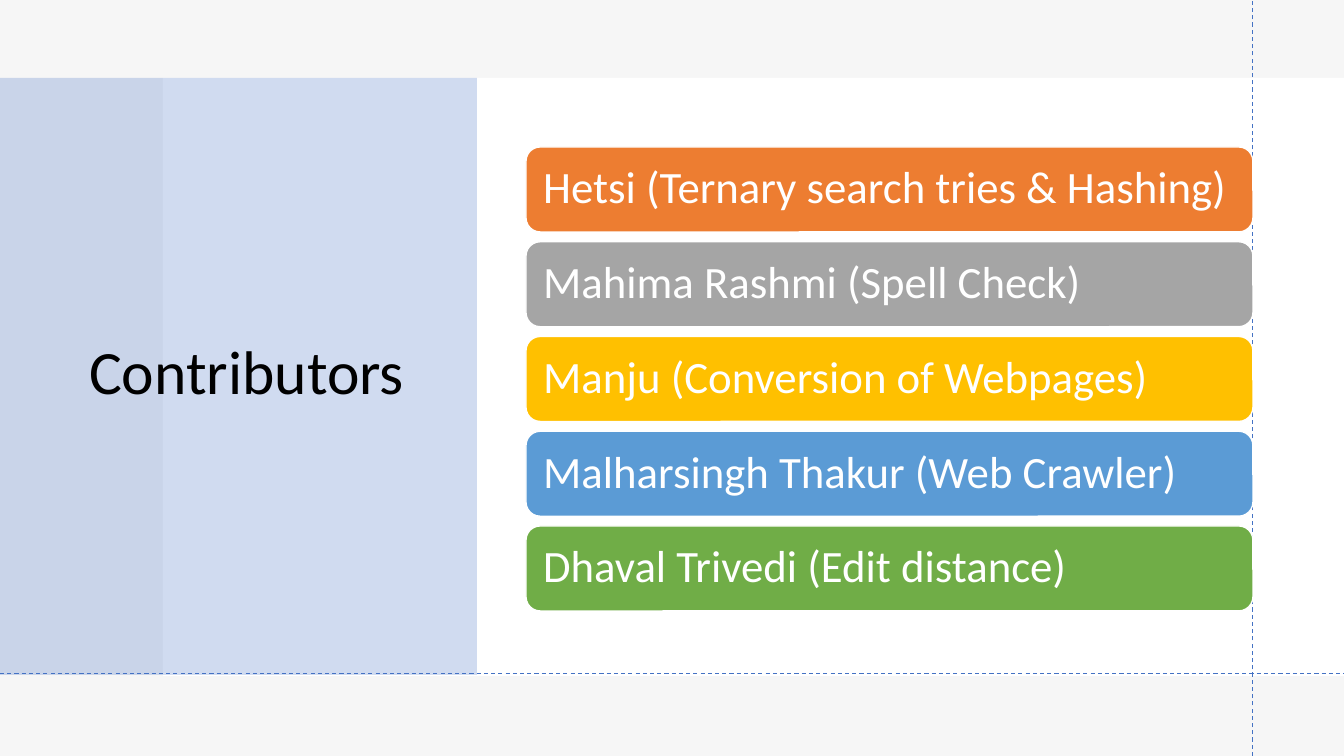
from lxml.etree import SubElement
from pptx import Presentation
from pptx.dml.color import RGBColor
from pptx.enum.dml import MSO_LINE
from pptx.enum.shapes import MSO_CONNECTOR, MSO_SHAPE
from pptx.enum.text import MSO_ANCHOR, MSO_AUTO_SIZE, PP_ALIGN
from pptx.oxml.ns import qn
from pptx.util import Emu, Pt

WIDTH, HEIGHT = 1344, 756
FONT = "Calibri"

WHITE = RGBColor(0xFF, 0xFF, 0xFF)
BLACK = RGBColor(0x00, 0x00, 0x00)
PALE_GRAY = RGBColor(0xF6, 0xF6, 0xF6)
BLUE = RGBColor(0x44, 0x72, 0xC4)
ORANGE = RGBColor(0xED, 0x7D, 0x31)
GRAY = RGBColor(0xA5, 0xA5, 0xA5)
GOLD = RGBColor(0xFF, 0xC0, 0x00)
SKY = RGBColor(0x5B, 0x9B, 0xD5)
GREEN = RGBColor(0x70, 0xAD, 0x47)

CONTRIBUTORS = [
    ("Hetsi (Ternary search tries & Hashing)", ORANGE),
    ("Mahima Rashmi (Spell Check)", GRAY),
    ("Manju (Conversion of Webpages)", GOLD),
    ("Malharsingh Thakur (Web Crawler)", SKY),
    ("Dhaval Trivedi (Edit distance)", GREEN),
]


def px(n):
    return Emu(round(n * 914400 / 100.8))


def add_block(s, kind, x, y, w, h, color):
    sp = s.shapes.add_shape(kind, px(x), px(y), px(w), px(h))
    sp.shadow.inherit = False
    sp.fill.solid()
    sp.fill.fore_color.rgb = color
    sp.line.fill.background()
    return sp


def format_text(tf, text, size, color):
    tf.text = text
    tf.word_wrap = True
    tf.auto_size = MSO_AUTO_SIZE.NONE
    tf.vertical_anchor = MSO_ANCHOR.MIDDLE
    p = tf.paragraphs[0]
    p.alignment = PP_ALIGN.LEFT
    p.line_spacing = 0.9
    p.font.name = FONT
    p.font.size = Pt(size)
    p.font.color.rgb = color


def add_guide(s, x1, y1, x2, y2):
    line = s.shapes.add_connector(MSO_CONNECTOR.STRAIGHT, px(x1), px(y1), px(x2), px(y2))
    line.line.color.rgb = BLUE
    line.line.width = Pt(0.75)
    line.line.dash_style = MSO_LINE.DASH
    SubElement(line._element.spPr, qn("a:effectLst"))


def add_title_panel(s, x, y, w, h):
    # Translucent panel
    panel = add_block(s, MSO_SHAPE.RECTANGLE, x, y, w, h, BLUE)
    tint = panel._element.spPr.find(qn("a:solidFill"))[0]
    SubElement(tint, qn("a:alpha"), val="25000")

    # Title in front of the panel, raised above its middle
    title = s.shapes.title
    panel._element.addnext(title._element)
    title.left, title.top = px(x + 79), px(y + 44)
    title.width, title.height = px(w - 79), px(h - 23)
    format_text(title.text_frame, "Contributors", 44, BLACK)
    title.text_frame.margin_bottom = px(73)


def add_contributor_list(s, x, y, w, h):
    row_h = 85
    pitch = (h - row_h) / (len(CONTRIBUTORS) - 1)
    for i, (text, color) in enumerate(CONTRIBUTORS):
        row = add_block(s, MSO_SHAPE.ROUNDED_RECTANGLE, x, y + i * pitch, w, row_h, color)
        row.line.color.rgb = WHITE
        row.line.width = Pt(1)
        tf = row.text_frame
        format_text(tf, text, 32, WHITE)
        tf.margin_left = tf.margin_right = px(13)


def build_contributors_slide(prs):
    s = prs.slides.add_slide(prs.slide_layouts[5])
    s.background.fill.solid()
    s.background.fill.fore_color.rgb = PALE_GRAY

    # White band and title panel
    add_block(s, MSO_SHAPE.RECTANGLE, 163, 78, WIDTH - 163, 598, WHITE)
    add_title_panel(s, 0, 78, 477, 597)

    # Dashed guides
    add_guide(s, 1253, HEIGHT, 1253, 0)
    add_guide(s, 0, 674, WIDTH, 674)

    # Contributors
    add_contributor_list(s, 526, 147, 727, 464)


def main():
    prs = Presentation()
    prs.slide_width, prs.slide_height = px(WIDTH), px(HEIGHT)
    build_contributors_slide(prs)
    prs.save("out.pptx")


if __name__ == "__main__":
    main()
